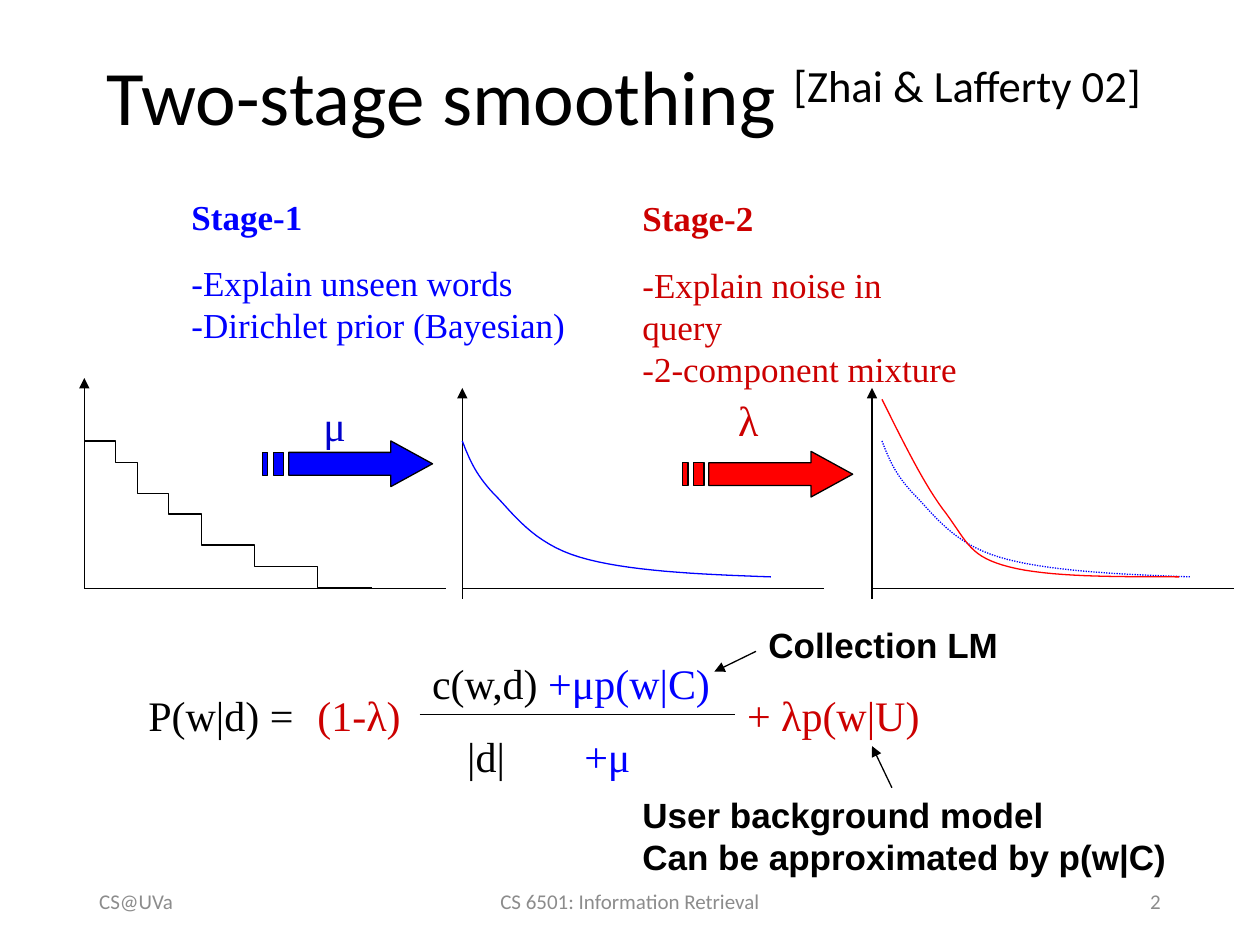
import pptx
import pptx.util
import pptx.dml.color
import pptx.enum.dml
import pptx.enum.shapes
import pptx.enum.text
from lxml import etree
from pptx.oxml.ns import qn

Cm, Pt = pptx.util.Cm, pptx.util.Pt
ALIGN = pptx.enum.text.PP_ALIGN
ANCHOR = pptx.enum.text.MSO_ANCHOR

THEME = {
    "line": 0.75, "black": "000000", "blue": "0000FF", "red": "FF0000",
    "title": {"name": "Calibri", "size": 44, "color": "000000"},
    "formula": {"name": "Times New Roman", "size": 24, "color": "000000"},
    "stage": {"name": "Times New Roman", "size": 20, "color": "0000FF"},
    "note": {"name": "Arial", "size": 20, "color": "000000", "bold": True},
    "footer": {"name": "Calibri", "size": 12, "color": "8C8C8C"},
}
DIRICHLET, MIXTURE, MU = "0000FF", "CC0000", "0000CC"

# All places and sizes are in centimetres.
TITLE = ("Two-stage smoothing ", "[Zhai & Lafferty 02]")
TITLE_BOX = (1.9, 0.43, 22.43, 3.18)

# heading, points, box, colour, wraps
STAGES = [
    ("Stage-1", ["-Explain unseen words", "-Dirichlet prior (Bayesian)"],
     (3.61, 3.81, 8.1, 3.33), DIRICHLET, False),
    ("Stage-2", ["-Explain noise in query", "-2-component mixture"],
     (12.7, 3.84, 7.11, 3.3), MIXTURE, True),
]
# text, box, colour
FORMULA = [
    ("P(w|d) =", (2.74, 13.77, 3.43, 1.27), "000000"),
    ("(1-λ)", (6.15, 13.77, 2.24, 1.27), MIXTURE),
    ("c(w,d)", (8.46, 13.13, 2.69, 1.27), "000000"),
    ("+μp(w|C)", (10.8, 13.13, 3.81, 1.27), DIRICHLET),
    ("|d|", (9.17, 14.6, 1.27, 1.27), "000000"),
    ("+μ", (11.53, 14.6, 1.47, 1.27), DIRICHLET),
    ("+ λp(w|U)", (14.81, 13.77, 4.04, 1.27), MIXTURE),
    ("μ", (6.27, 7.92, 0.99, 1.27), MU),
    ("λ", (14.63, 7.82, 0.97, 1.27), MIXTURE),
]
FRACTION_BAR = ((8.46, 14.4), (14.81, 14.4))
# lines, box, arrow, wraps
NOTES = [
    (["Collection LM"], (15.24, 12.45, 5.33, 1.09),
     ((15.24, 13.13), (14.4, 13.54)), False),
    (["User background model", "Can be approximated by p(w|C)"],
     (12.7, 15.88, 11.43, 1.96), ((17.98, 15.88), (17.58, 15.04)), True),
]
FOOTER = [
    ("CS@UVa", (1.75, 17.65, 5.72, 1.02), ALIGN.LEFT),
    ("CS 6501: Information Retrieval", (8.41, 17.65, 8.58, 1.02), ALIGN.CENTER),
    ("2", (17.93, 17.65, 5.72, 1.02), ALIGN.RIGHT),
]

# origin x, top and bottom of each vertical axis
AXES = [(1.7, 7.62, 11.86), (9.32, 7.82, 12.07), (17.58, 7.82, 12.07)]
BASELINE, AXIS_LENGTH = 11.86, 7.29
STEPS_START = (1.7, 8.89)
STEPS = [(0.63, 0.43), (0.44, 0.63), (0.63, 0.41), (0.66, 0.63),
         (1.07, 0.43), (1.27, 0.43), (1.09, 0)]  # run, drop

# Bezier points, relative to the start of the curve
SMOOTHED = [(0, 0), (0.13, 0.33), (0.25, 0.66), (0.64, 1.07),
            (1.02, 1.45), (1.42, 2.06), (2.36, 2.34),
            (3.28, 2.62), (4.75, 2.69), (6.22, 2.74)]
MIXED = [(0, 0), (0.43, 0.86), (0.86, 1.75), (1.3, 2.31),
         (1.73, 2.9), (1.78, 3.18), (2.57, 3.38),
         (3.35, 3.58), (4.67, 3.58), (5.99, 3.58)]
# start, points, colour, dotted
CURVES = [((9.32, 8.89), SMOOTHED, "blue", False),
          ((17.78, 8.89), SMOOTHED, "blue", True),
          ((17.78, 8.05), MIXED, "red", False)]

STAGE_ARROWS = [((5.29, 8.89), "blue"), ((13.76, 9.1), "red")]
SHAFT_TOP, SHAFT_BOTTOM, HEAD_HEIGHT = 0.23, 0.69, 0.92
STRIPES = [(0.22, 0.43), (0, 0.11)]
ARROW_HEAD = [(2.59, 0), (2.59, SHAFT_TOP), (0.53, SHAFT_TOP),
              (0.53, SHAFT_BOTTOM), (2.59, SHAFT_BOTTOM),
              (2.59, HEAD_HEIGHT), (3.43, HEAD_HEIGHT / 2)]


def rgb(color):
    return pptx.dml.color.RGBColor.from_string(color)


def add_run(paragraph, text, style):
    run = paragraph.add_run()
    run.text = text
    values = {"name": style["name"], "size": Pt(style["size"]),
              "bold": style.get("bold", False)}
    for key, value in values.items():
        setattr(run.font, key, value)
    run.font.color.rgb = rgb(style["color"])
    return run


def add_text(slide, lines, box, style, wrap=False, align=ALIGN.LEFT,
             anchor=ANCHOR.TOP):
    frame = slide.shapes.add_textbox(*map(Cm, box)).text_frame
    frame.word_wrap, frame.vertical_anchor = wrap, anchor
    for index, line in enumerate(lines):
        paragraph = frame.paragraphs[0] if index == 0 else frame.add_paragraph()
        paragraph.alignment = align
        add_run(paragraph, line, style)
    return frame


def set_line(line, color, dotted=False):
    line.color.rgb = rgb(color)
    line.width = Pt(THEME["line"])
    if dotted:
        line.dash_style = pptx.enum.dml.MSO_LINE.ROUND_DOT


def add_line(slide, start, end, arrow=False):
    connector = slide.shapes.add_connector(
        pptx.enum.shapes.MSO_CONNECTOR.STRAIGHT, *map(Cm, start + end))
    set_line(connector.line, THEME["black"])
    if arrow:
        etree.SubElement(connector.line._get_or_add_ln(), qn("a:tailEnd"),
                         type="triangle")
    etree.SubElement(connector._element.spPr, qn("a:effectLst"))


def add_outline(slide, start, contours, line, fill=None, dotted=False):
    """Draw contours given relative to start; they are closed when filled."""
    builder = None
    for contour in contours:
        first, *rest = [(Cm(start[0] + x), Cm(start[1] + y)) for x, y in contour]
        if builder is None:
            builder = slide.shapes.build_freeform(*first)
        else:
            builder.move_to(*first)
        builder.add_line_segments(rest, close=fill is not None)
    shape = builder.convert_to_shape()
    shape.shadow.inherit = False
    set_line(shape.line, line, dotted)
    if fill:
        shape.fill.solid()
        shape.fill.fore_color.rgb = rgb(fill)
    else:
        shape.fill.background()


def bezier(points, pieces=16):
    """Sample a chain of cubic curves that share their end points."""
    result = [points[0]]
    for i in range(0, len(points) - 1, 3):
        for step in range(1, pieces + 1):
            t = step / pieces
            weights = ((1 - t) ** 3, 3 * t * (1 - t) ** 2, 3 * t * t * (1 - t), t ** 3)
            result.append(tuple(sum(w * p[axis] for w, p in zip(weights, points[i:i + 4]))
                                for axis in (0, 1)))
    return result


def staircase(steps):
    x = y = 0
    points = [(x, y)]
    for run, drop in steps:
        x += run
        points.append((x, y))
        if drop:
            y += drop
            points.append((x, y))
    return points


def add_title(slide):
    title = slide.shapes.title
    for key, value in zip(("left", "top", "width", "height"), TITLE_BOX):
        setattr(title, key, Cm(value))
    frame = title.text_frame
    frame.auto_size = pptx.enum.text.MSO_AUTO_SIZE.NONE
    frame.vertical_anchor = ANCHOR.MIDDLE
    paragraph = frame.paragraphs[0]
    paragraph.alignment, paragraph.line_spacing = ALIGN.LEFT, 0.9
    heading, citation = [add_run(paragraph, text, THEME["title"]) for text in TITLE]
    citation.font._element.set("baseline", "30000")


def add_plots(slide):
    for x, top, bottom in AXES:
        add_line(slide, (x, BASELINE), (x + AXIS_LENGTH, BASELINE))
        add_line(slide, (x, bottom), (x, top), arrow=True)
    add_outline(slide, STEPS_START, [staircase(STEPS)], THEME["black"])
    for start, points, color, dotted in CURVES:
        add_outline(slide, start, [bezier(points)], THEME[color], dotted=dotted)
    stripes = [[(left, SHAFT_TOP), (left, SHAFT_BOTTOM),
                (right, SHAFT_BOTTOM), (right, SHAFT_TOP)] for left, right in STRIPES]
    for start, color in STAGE_ARROWS:
        add_outline(slide, start, [ARROW_HEAD] + stripes, THEME["black"], THEME[color])


def main():
    deck = pptx.Presentation()
    deck.slide_width, deck.slide_height = Cm(25.4), Cm(19.05)
    slide = deck.slides.add_slide(deck.slide_layouts[5])
    add_title(slide)
    add_plots(slide)
    for heading, points, box, color, wrap in STAGES:
        style = {**THEME["stage"], "color": color}
        frame = add_text(slide, [heading] + points, box, style, wrap)
        frame.paragraphs[0].runs[0].font.bold = True
        frame.paragraphs[1].space_before = Pt(14)
    for text, box, color in FORMULA:
        add_text(slide, [text], box, {**THEME["formula"], "color": color})
    add_line(slide, *FRACTION_BAR)
    for lines, box, (start, end), wrap in NOTES:
        add_text(slide, lines, box, THEME["note"], wrap)
        add_line(slide, start, end, arrow=True)
    for text, box, align in FOOTER:
        add_text(slide, [text], box, THEME["footer"], True, align, ANCHOR.MIDDLE)
    deck.save("out.pptx")


if __name__ == "__main__":
    main()
